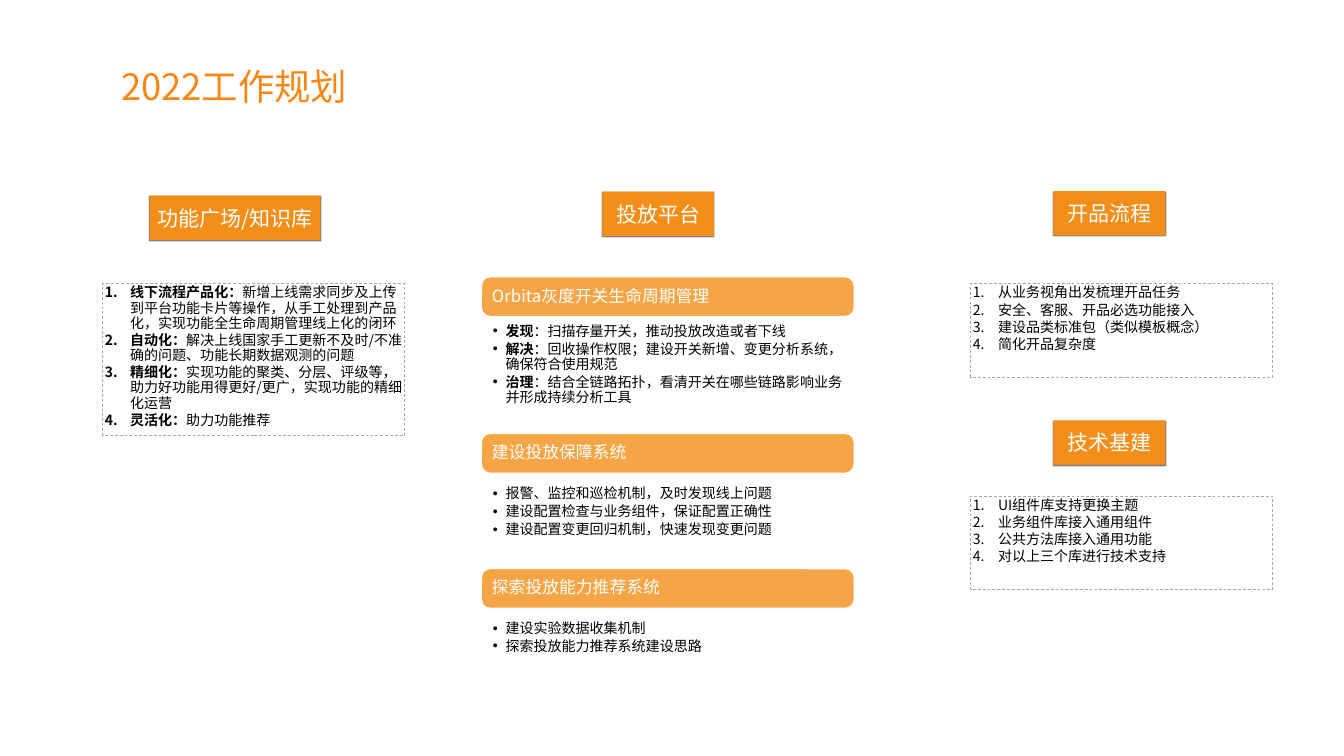
from lxml import etree
from pptx import Presentation
from pptx import util as u
from pptx.dml.color import RGBColor
from pptx.enum import dml, shapes, text
from pptx.oxml.ns import qn

Pt = u.Pt
FONT = "Noto Sans CJK SC"
COLORS = {
    "title": "F88719",
    "orange": "F38F18",
    "white": "FFFFFF",
    "black": "000000",
    "border": "A6A6A6",
}
HEADINGS = [
    ("功能广场/知识库", 213.8, 279.4, 244),
    ("投放平台", 860.4, 273.6, 160),
    ("开品流程", 1504.8, 272.9, 160),
    ("技术基建", 1504.8, 600.5, 160),
]
SECTIONS = [
    ("Orbita灰度开关生命周期管理", 395.3, 462.2, 118, [
        ("发现", "：扫描存量开关，推动投放改造或者下线"),
        ("解决", "：回收操作权限；建设开关新增、变更分析系统，确保符合使用规范"),
        ("治理", "：结合全链路拓扑，看清开关在哪些链路影响业务并形成持续分析工具"),
    ]),
    ("建设投放保障系统", 619.2, 676.1, 111.6, [
        ("", "报警、监控和巡检机制，及时发现线上问题"),
        ("", "建设配置检查与业务组件，保证配置正确性"),
        ("", "建设配置变更回归机制，快速发现变更问题"),
    ]),
    ("探索投放能力推荐系统", 812.2, 869, 85, [
        ("", "建设实验数据收集机制"),
        ("", "探索投放能力推荐系统建设思路"),
    ]),
]
NUMBERED = [
    (146.9, 405.4, 216.7, [
        ("线下流程产品化：", "新增上线需求同步及上传到平台功能卡片等操作，从手工处理到产品化，"
                     "实现功能全生命周期管理线上化的闭环"),
        ("自动化：", "解决上线国家手工更新不及时/不准确的问题、功能长期数据观测的问题"),
        ("精细化：", "实现功能的聚类、分层、评级等，助力好功能用得更好/更广，实现功能的精细化运营"),
        ("灵活化：", "助力功能推荐"),
    ]),
    (1386.7, 405.4, 133.2, [
        ("", "从业务视角出发梳理开品任务"),
        ("", "安全、客服、开品必选功能接入"),
        ("", "建设品类标准包（类似模板概念）"),
        ("", "简化开品复杂度"),
    ]),
    (1386.7, 708.5, 133.2, [
        ("", "UI组件库支持更换主题"),
        ("", "业务组件库接入通用组件"),
        ("", "公共方法库接入通用功能"),
        ("", "对以上三个库进行技术支持"),
    ]),
]


def rgb(name):
    return RGBColor.from_string(COLORS[name])


def add_run(p, words, size, color, bold=False):
    r = p.add_run()
    r.text = words
    r.font.size, r.font.name, r.font.bold = Pt(size), FONT, bold
    r.font.color.rgb = rgb(color)
    etree.SubElement(r.font._element, qn("a:ea"), typeface=FONT)


def set_frame(sp, insets, anchor, wrap=True):
    tf = sp.text_frame
    tf.word_wrap = wrap
    tf.vertical_anchor = anchor
    tf.margin_left, tf.margin_top, tf.margin_right, tf.margin_bottom = map(Pt, insets)
    return tf


def add_box(s, kind, x, y, w, h, fill=None):
    sp = s.shapes.add_shape(kind, Pt(x), Pt(y), Pt(w), Pt(h))
    sp.shadow.inherit = False
    if fill:
        sp.fill.solid()
        sp.fill.fore_color.rgb = rgb(fill)
    else:
        sp.fill.background()
    sp.line.fill.background()
    return sp


def add_items(tf, items, indent, after, marker, **marker_attrs):
    for i, (lead, body) in enumerate(items):
        p = tf.paragraphs[0] if i == 0 else tf.add_paragraph()
        p.alignment = text.PP_ALIGN.LEFT
        p.line_spacing, p.space_after = 0.9, Pt(after)
        pPr = p._p.get_or_add_pPr()
        pPr.set("marL", str(Pt(indent)))
        pPr.set("indent", str(-Pt(indent)))
        etree.SubElement(pPr, qn("a:buFont"), typeface="Arial" if marker == "a:buChar" else FONT)
        etree.SubElement(pPr, qn(marker), **marker_attrs)
        if lead:
            add_run(p, lead, 20, "black", True)
        add_run(p, body, 20, "black")


def add_title(s, words):
    sp = s.shapes.add_textbox(Pt(170), Pt(90.7), Pt(473), Pt(66.2))
    tf = set_frame(sp, (3, 3, 3, 3), text.MSO_ANCHOR.BOTTOM)
    add_run(tf.paragraphs[0], words, 52, "title")


def add_heading(s, words, x, y, w):
    sp = add_box(s, shapes.MSO_SHAPE.RECTANGLE, x, y, w, 63.4, "orange")
    effects = sp._element.spPr.find(qn("a:effectLst"))
    shadow = etree.SubElement(effects, qn("a:outerShdw"), blurRad=str(Pt(1)),
                              dist=str(Pt(1)), dir="5400000", rotWithShape="0")
    color = etree.SubElement(shadow, qn("a:srgbClr"), val=COLORS["black"])
    etree.SubElement(color, qn("a:alpha"), val="50000")
    p = set_frame(sp, (3, 3, 3, 3), text.MSO_ANCHOR.MIDDLE, False).paragraphs[0]
    p.alignment = text.PP_ALIGN.CENTER
    add_run(p, words, 30, "white")


def add_section(s, words, bar_y, list_y, list_h, items):
    x, w = 687.6, 532.8
    bar = add_box(s, shapes.MSO_SHAPE.ROUNDED_RECTANGLE, x, bar_y, w, 56.9, "orange")
    bar.adjustments[0] = 0.22
    color = bar._element.spPr.find(qn("a:solidFill"))[0]
    etree.SubElement(color, qn("a:alpha"), val="80000")
    bar.line.color.rgb = rgb("white")
    bar.line.width = Pt(2)
    p = set_frame(bar, (11.5,) * 4, text.MSO_ANCHOR.MIDDLE).paragraphs[0]
    p.alignment = text.PP_ALIGN.LEFT
    p.line_spacing = 0.9
    add_run(p, words, 24, "white")

    sp = add_box(s, shapes.MSO_SHAPE.RECTANGLE, x, list_y, w, list_h)
    tf = set_frame(sp, (16.6, 2, 11.5, 2), text.MSO_ANCHOR.MIDDLE)
    add_items(tf, items, 18, 4, "a:buChar", char="•")


def add_numbered(s, x, y, h, items):
    sp = add_box(s, shapes.MSO_SHAPE.RECTANGLE, x, y, 431.3, h)
    sp.line.color.rgb = rgb("border")
    sp.line.width = Pt(1)
    sp.line.dash_style = dml.MSO_LINE.DASH
    tf = set_frame(sp, (3, 3, 3, 3), text.MSO_ANCHOR.TOP)
    add_items(tf, items, 36, 3, "a:buAutoNum", type="arabicPeriod")


def main():
    prs = Presentation()
    prs.slide_width, prs.slide_height = Pt(1920), Pt(1080)
    s = prs.slides.add_slide(prs.slide_layouts[6])
    add_title(s, "2022工作规划")
    for heading in HEADINGS:
        add_heading(s, *heading)
    for section in SECTIONS:
        add_section(s, *section)
    for box in NUMBERED:
        add_numbered(s, *box)
    prs.save("out.pptx")


if __name__ == "__main__":
    main()
